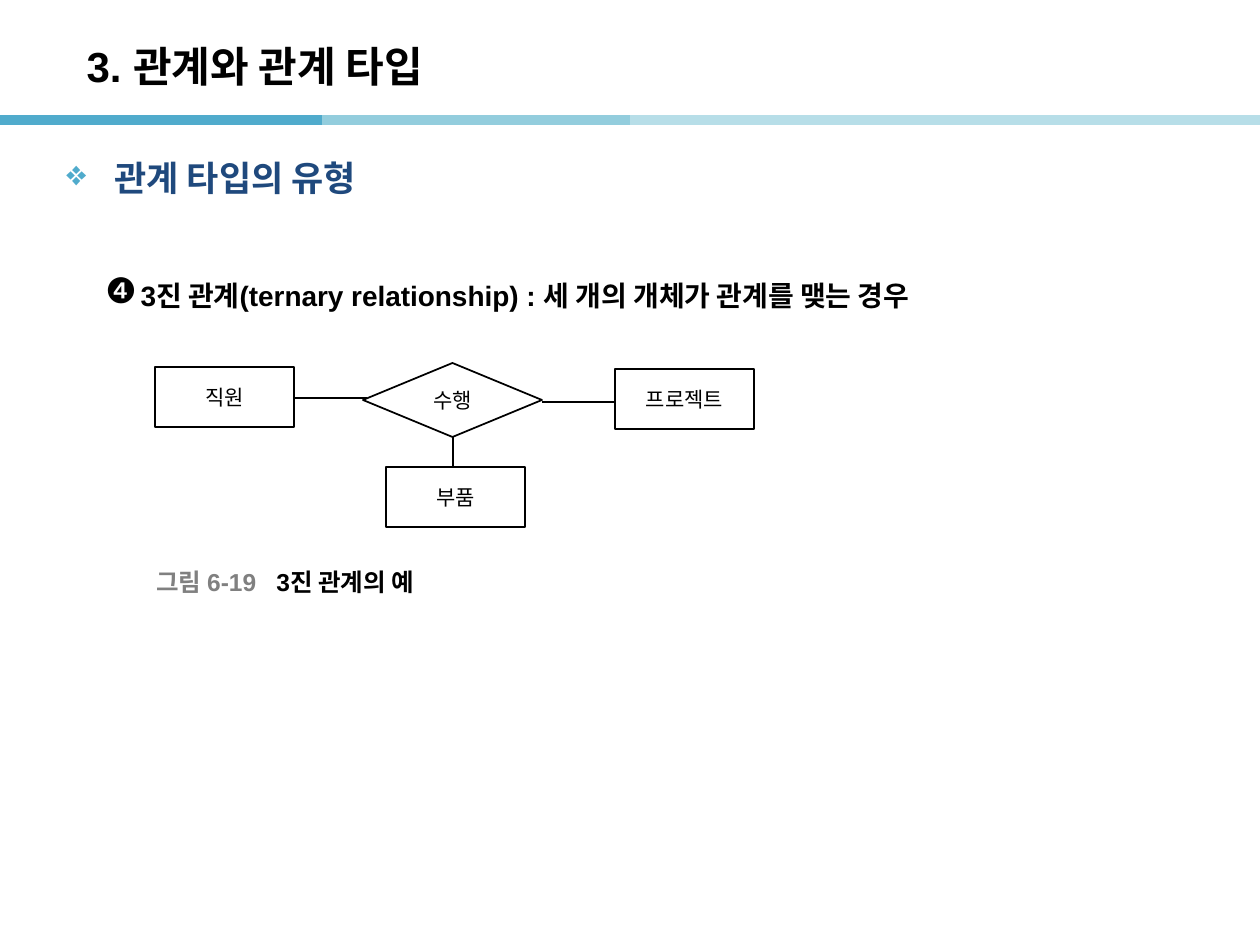
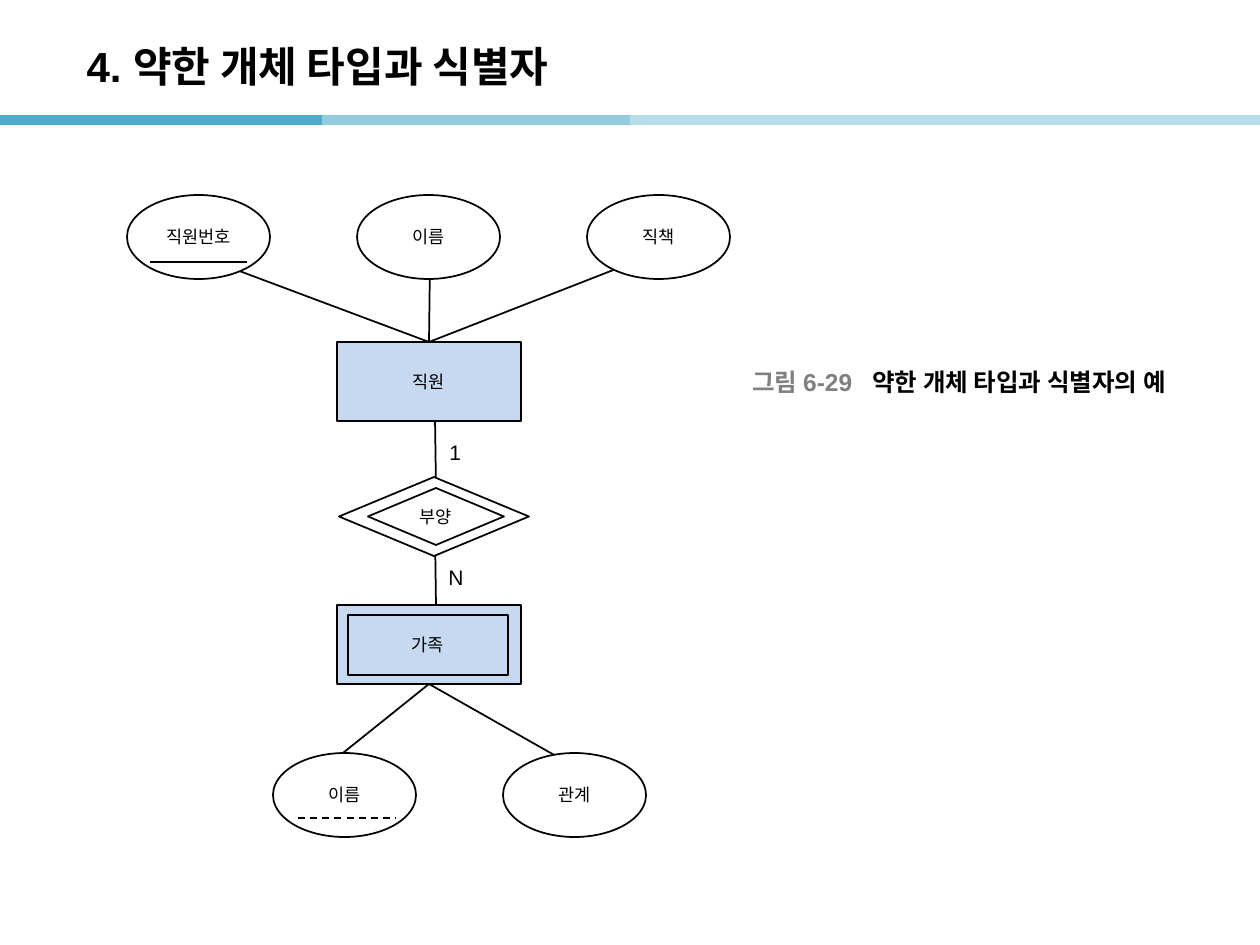
from lxml.etree import SubElement
from pptx import Presentation
from pptx.dml.color import RGBColor
from pptx.enum.dml import MSO_LINE_DASH_STYLE as DASH
from pptx.enum.shapes import MSO_CONNECTOR as CONNECTOR, MSO_SHAPE as SHAPE
from pptx.enum.text import MSO_ANCHOR as ANCHOR, MSO_AUTO_SIZE as AUTO_SIZE, PP_ALIGN as ALIGN
from pptx.oxml.ns import qn
from pptx.util import Pt

BLACK, GRAY, NAVY, WHITE, SKY = "000000", "808080", "1F497D", "FFFFFF", "C6D9F1"
ACCENT = "50ABCC"
FONT = "Arial"
BANDS = [(0, 322, ACCENT), (322, 630, "93CDDD"), (630, 1260, "B7DEE8")]
BAND_Y = 120
TITLE_BOX = (74, 28, 1042, 76)
CAPTION_TAB = 120

TERNARY = {
    "title": "3. 관계와 관계 타입",
    "links": [(614, 402, 542, 402, 0.75), (367, 398, 294, 398, 0.75),
              (453, 422, 453, 484, 1)],
    "nodes": [(SHAPE.RECTANGLE, "프로젝트", (615, 369, 139, 60), WHITE),
              (SHAPE.RECTANGLE, "직원", (155, 367, 139, 60), WHITE),
              (SHAPE.RECTANGLE, "부품", (386, 467, 139, 60), WHITE),
              (SHAPE.FLOWCHART_DECISION, "수행", (363, 363, 179, 74), WHITE)],
    "node_size": 12,
    "caption": ("그림 6-19", "3진 관계의 예", (144, 562, 500, 39)),
}
HEADING = ("관계 타입의 유형", (54, 150, 1111, 78))
DEFINITION = ("3진 관계(ternary relationship) : 세 개의 개체가 관계를 맺는 경우",
              (74, 255, 1111, 71))
NUMBER = ("❹", (93, 270, 59, 39))

OVAL_W, OVAL_H = 143, 84
OVAL_STEP = 230


def oval_row(names, left, top):
    return [(SHAPE.OVAL, name, (left + i * OVAL_STEP, top, OVAL_W, OVAL_H), WHITE)
            for i, name in enumerate(names)]


WEAK_ENTITY = {
    "title": "4. 약한 개체 타입과 식별자",
    "links": [(210, 260, 429, 342, 1), (430, 262, 429, 342, 1), (639, 260, 429, 342, 1),
              (435, 418, 436, 488, 1), (435, 533, 436, 605, 1),
              (429, 684, 343, 753, 1), (429, 684, 563, 760, 1)],
    "nodes": [*oval_row(["직원번호", "이름", "직책"], 127, 195),
              (SHAPE.RECTANGLE, "직원", (337, 342, 184, 79), SKY),
              (SHAPE.FLOWCHART_DECISION, "", (339, 477, 190, 79), WHITE),
              (SHAPE.FLOWCHART_DECISION, "부양", (368, 488, 136, 57), WHITE),
              (SHAPE.RECTANGLE, "", (337, 605, 184, 79), SKY),
              (SHAPE.RECTANGLE, "가족", (348, 615, 160, 60), SKY),
              *oval_row(["이름", "관계"], 273, 753)],
    "node_size": 10,
    "caption": ("그림 6-29", "약한 개체 타입과 식별자의 예", (740, 362, 500, 39)),
}
KEY_LINES = [(150, 262, 247, 262, None), (298, 818, 396, 818, DASH.DASH)]
CARDINALITIES = [("1", (437, 433, 37, 38)), ("N", (436, 558, 42, 38))]


def px(length):
    return round(length * 914400 / 126)


def rgb(color):
    return RGBColor.from_string(color)


def style(paragraph, size, color=BLACK, bold=False, align=ALIGN.LEFT):
    paragraph.alignment = align
    paragraph.space_before = Pt(0)
    font = paragraph.font
    font.name, font.size, font.bold = FONT, Pt(size), bold
    font.color.rgb = rgb(color)


def place(shape, box):
    shape.left, shape.top, shape.width, shape.height = map(px, box)


def add_line(slide, x1, y1, x2, y2, weight, color=BLACK, dash=None):
    line = slide.shapes.add_connector(CONNECTOR.STRAIGHT, *map(px, (x1, y1, x2, y2)))
    line.line.color.rgb = rgb(color)
    line.line.width = Pt(weight)
    if dash:
        line.line.dash_style = dash
    SubElement(line._element.spPr, qn("a:effectLst"))


def add_node(slide, kind, name, box, fill, size):
    node = slide.shapes.add_shape(kind, *map(px, box))
    node.shadow.inherit = False
    node.fill.solid()
    node.fill.fore_color.rgb = rgb(fill)
    node.line.color.rgb = rgb(BLACK)
    node.line.width = Pt(1)
    frame = node.text_frame
    frame.margin_left = frame.margin_right = frame.margin_top = frame.margin_bottom = 0
    frame.vertical_anchor = ANCHOR.MIDDLE
    if name:
        frame.text = name
        style(frame.paragraphs[0], size, align=ALIGN.CENTER)


def add_text(slide, text, box, anchor=ANCHOR.TOP, wrap=True):
    frame = slide.shapes.add_textbox(*map(px, box)).text_frame
    frame.word_wrap = wrap
    frame.vertical_anchor = anchor
    frame.text = text
    return frame.paragraphs[0]


def add_caption(slide, number, text, box):
    caption = add_text(slide, "", box, ANCHOR.MIDDLE)
    tabs = SubElement(caption._p.get_or_add_pPr(), qn("a:tabLst"))
    SubElement(tabs, qn("a:tab"), pos=str(px(CAPTION_TAB)), algn="l")
    style(caption, 14, bold=True)
    for part, color in ((number + "\t", GRAY), (text, BLACK)):
        run = caption.add_run()
        run.text = part
        run.font.color.rgb = rgb(color)


def add_diagram_slide(prs, layout, content):
    slide = prs.slides.add_slide(prs.slide_layouts[layout])
    for start, end, color in BANDS:
        add_line(slide, start, BAND_Y, end, BAND_Y, 6, color)
    title = slide.shapes.title
    place(title, TITLE_BOX)
    title.text_frame.text = content["title"]
    title.text_frame.vertical_anchor = ANCHOR.MIDDLE
    style(title.text_frame.paragraphs[0], 24, bold=True)
    for link in content["links"]:
        add_line(slide, *link)
    for node in content["nodes"]:
        add_node(slide, *node, content["node_size"])
    add_caption(slide, *content["caption"])
    return slide


def add_heading(slide, text, box):
    heading = add_text(slide, text, box)
    props = heading._p.get_or_add_pPr()
    props.set("marL", str(px(48)))
    props.set("indent", str(px(-48)))
    SubElement(SubElement(props, qn("a:buClr")), qn("a:srgbClr"), val=ACCENT)
    SubElement(props, qn("a:buChar"), char="❖")
    style(heading, 20, NAVY, bold=True)


def fill_definition(slide, text, box):
    body = slide.placeholders[1]
    place(body, box)
    frame = body.text_frame
    frame.auto_size = AUTO_SIZE.NONE
    frame.text = text
    definition = frame.paragraphs[0]
    props = definition._p.get_or_add_pPr()
    props.set("marL", str(px(54)))
    props.set("indent", "0")
    SubElement(props, qn("a:buNone"))
    definition.line_spacing = 1.5
    style(definition, 16, bold=True)


def main():
    """Build the two entity-relationship slides."""
    prs = Presentation()
    prs.slide_width, prs.slide_height = px(1260), px(945)

    ternary = add_diagram_slide(prs, 1, TERNARY)
    add_heading(ternary, *HEADING)
    fill_definition(ternary, *DEFINITION)
    style(add_text(ternary, *NUMBER, ANCHOR.MIDDLE, wrap=False), 20)

    weak = add_diagram_slide(prs, 5, WEAK_ENTITY)
    for x1, y1, x2, y2, dash in KEY_LINES:
        add_line(weak, x1, y1, x2, y2, 1, dash=dash)
    for cardinality in CARDINALITIES:
        style(add_text(weak, *cardinality, wrap=False), 12)

    prs.save("out.pptx")


if __name__ == "__main__":
    main()
